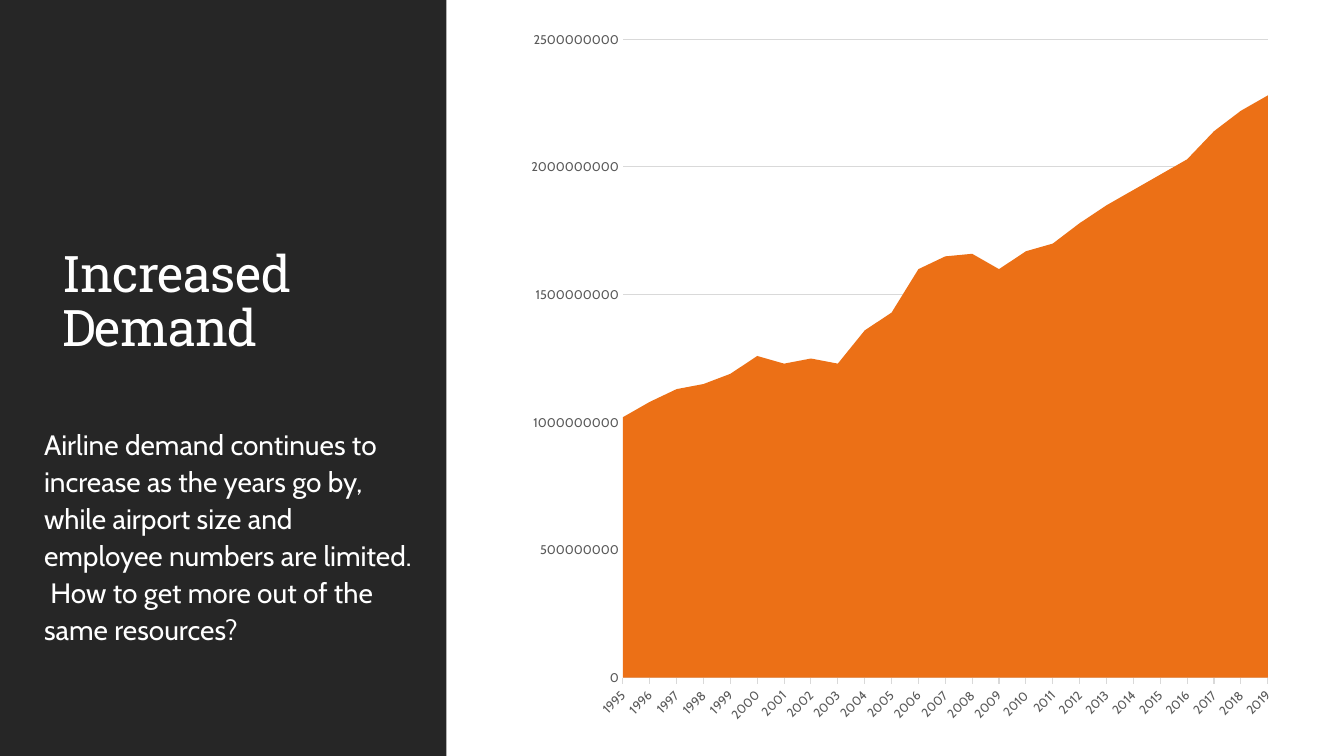
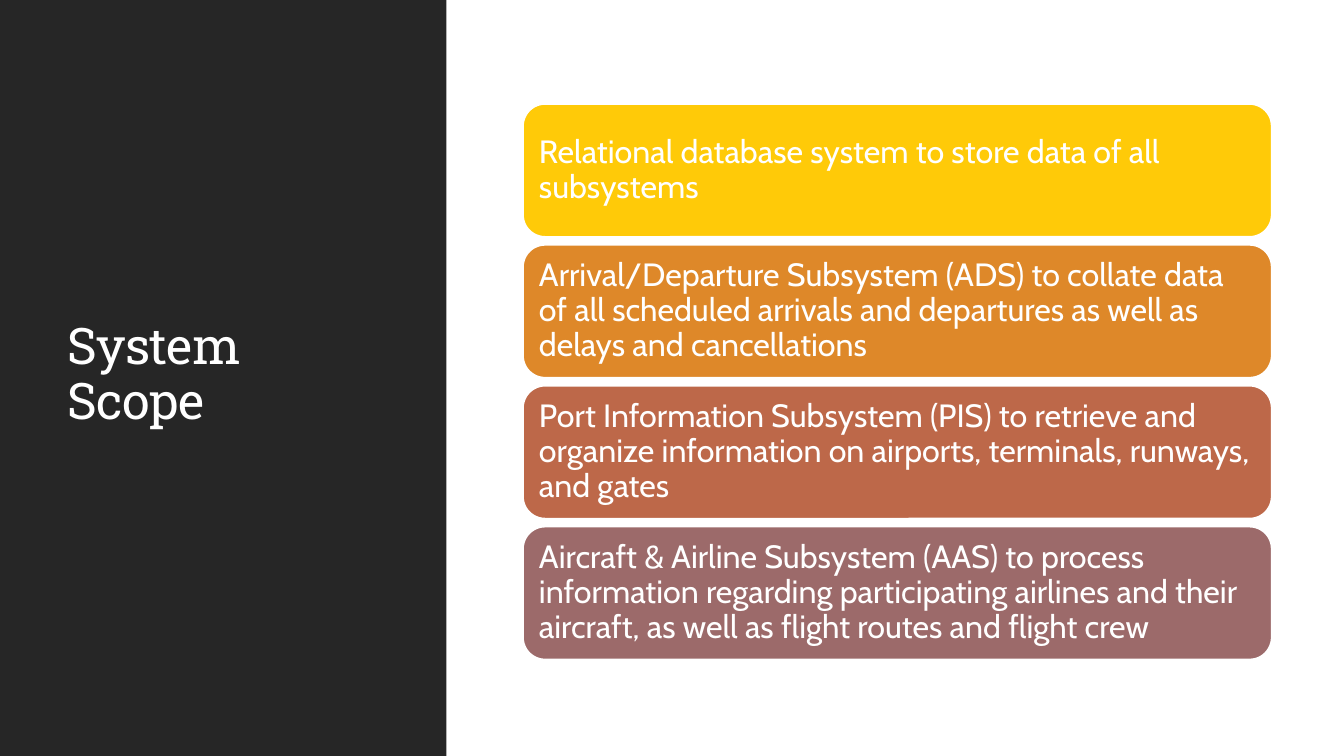
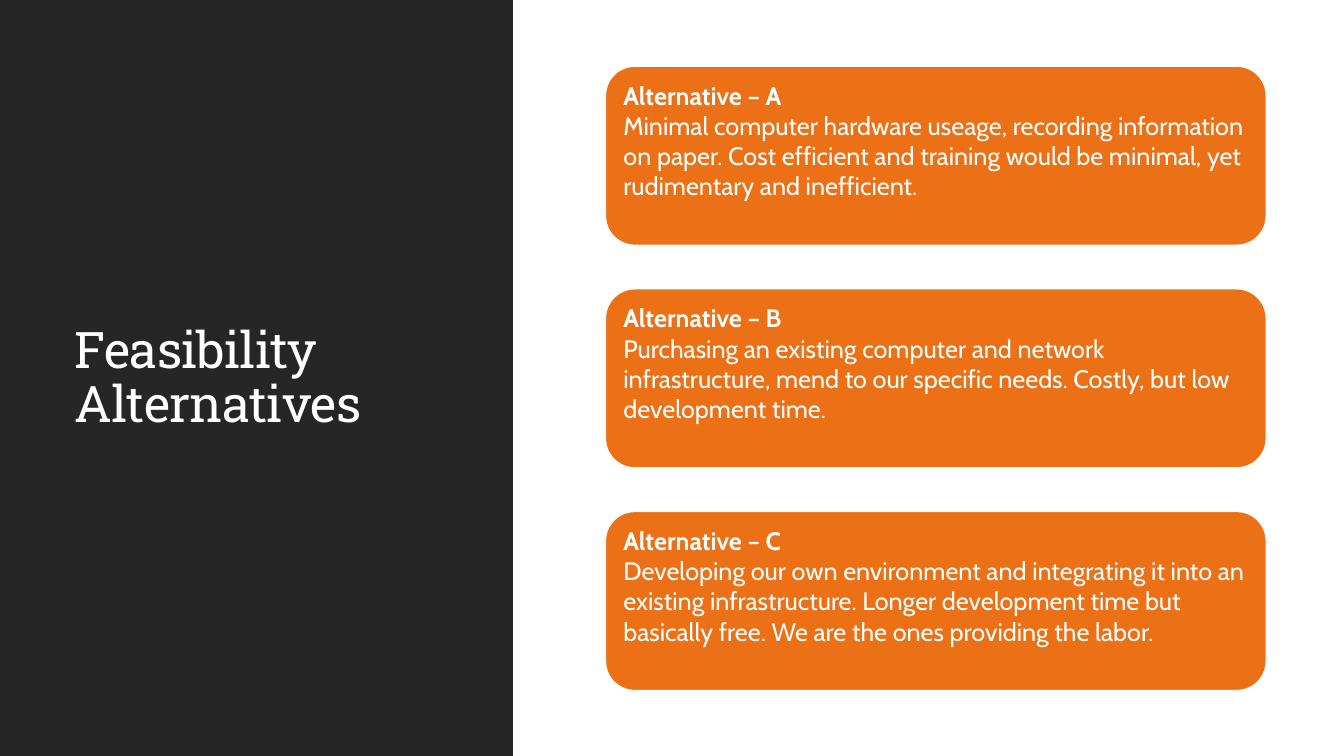
import pptx
import pptx.chart.data
import pptx.dml.color
import pptx.enum.chart
import pptx.enum.shapes
import pptx.enum.text
import pptx.util

Cm = pptx.util.Cm
Pt = pptx.util.Pt
ANCHOR = pptx.enum.text.MSO_ANCHOR
SHAPE = pptx.enum.shapes.MSO_SHAPE
TICK = pptx.enum.chart.XL_TICK_MARK

PASSENGERS_IN_TENS_OF_MILLIONS = [
    102, 108, 113, 115, 119, 126, 123, 125, 123, 136, 143, 160, 165,
    166, 160, 167, 170, 178, 185, 191, 197, 203, 214, 222, 228,
]

SUBSYSTEMS = [
    ("FFCA08", "Relational database system to store data of all subsystems"),
    ("DE8829", "Arrival/Departure Subsystem (ADS) to collate data of all scheduled "
               "arrivals and departures as well as delays and cancellations"),
    ("BD6849", "Port Information Subsystem (PIS) to retrieve and organize information "
               "on airports, terminals, runways, and gates"),
    ("9C6A6A", "Aircraft & Airline Subsystem (AAS) to process information regarding "
               "participating airlines and their aircraft, as well as flight routes "
               "and flight crew"),
]

ALTERNATIVES = [
    ("Alternative – A",
     "Minimal computer hardware useage, recording information on paper. Cost efficient "
     "and training would be minimal, yet rudimentary and inefficient."),
    ("Alternative – B",
     "Purchasing an existing computer and network infrastructure, mend to our specific "
     "needs. Costly, but low development time."),
    ("Alternative – C",
     "Developing our own environment and integrating it into an existing infrastructure. "
     "Longer development time but basically free. We are the ones providing the labor."),
]


def color(value):
    return pptx.dml.color.RGBColor.from_string(value)


class Deck:
    dark = "262626"
    white = "FFFFFF"
    orange = "EC7016"
    grid = "D9D9D9"
    label = "595959"
    title_font = "Roboto Slab"
    body_font = "Cabin"

    def __init__(self):
        self.deck = pptx.Presentation()
        self.deck.slide_width = Cm(33.87)
        self.deck.slide_height = Cm(19.05)
        self.slide = None

    def new_slide(self, band_width):
        self.slide = self.deck.slides.add_slide(self.deck.slide_layouts[6])
        self.shape(SHAPE.RECTANGLE, (0, 0, band_width, 19.05), self.dark)

    def shape(self, kind, place, fill, line_width=0):
        box = self.slide.shapes.add_shape(kind, *map(Cm, place))
        box.shadow.inherit = False
        box.fill.solid()
        box.fill.fore_color.rgb = color(fill)
        if line_width:
            box.line.color.rgb = color(self.white)
            box.line.width = Pt(line_width)
        else:
            box.line.fill.background()
        return box

    def set_text(self, box, texts, size, font=body_font, spacing=1.0, anchor=ANCHOR.MIDDLE):
        frame = box.text_frame
        frame.word_wrap = True
        frame.vertical_anchor = anchor
        frame.text = "\n".join(texts)
        for para in frame.paragraphs:
            para.alignment = pptx.enum.text.PP_ALIGN.LEFT
            para.line_spacing = spacing
            for span in para.runs:
                span.font.size = Pt(size)
                span.font.name = font
                span.font.color.rgb = color(self.white)
        return frame

    def title(self, text, place, anchor=ANCHOR.MIDDLE):
        box = self.slide.shapes.add_textbox(*map(Cm, place))
        frame = self.set_text(box, [text], 36, self.title_font, 0.9, anchor)
        for span in frame.paragraphs[0].runs:
            span._r.get_or_add_rPr().set("spc", "-50")

    def body(self, text, place):
        box = self.slide.shapes.add_textbox(*map(Cm, place))
        para = self.set_text(box, [text], 20, spacing=1.1, anchor=ANCHOR.TOP).paragraphs[0]
        para.space_before = Pt(12)
        para.space_after = Pt(2)
        para._p.get_or_add_pPr().set("marL", str(Cm(0.25)))

    def bar(self, text, place, fill):
        box = self.shape(SHAPE.ROUNDED_RECTANGLE, place, fill, 1.25)
        frame = self.set_text(box, [text], 23, spacing=0.9)
        frame.margin_left = frame.margin_right = Cm(0.24)
        frame.margin_top = frame.margin_bottom = Cm(0.24)

    def card(self, heading, text, place):
        box = self.shape(SHAPE.ROUNDED_RECTANGLE, place, self.orange, 2)
        frame = self.set_text(box, [heading, text], 18)
        frame.margin_bottom = Cm(0.89)
        frame.paragraphs[0].runs[0].font.bold = True

    def area_chart(self, categories, values, place):
        data = pptx.chart.data.CategoryChartData()
        data.categories = categories
        data.add_series("Series 1", values)
        chart = self.slide.shapes.add_chart(
            pptx.enum.chart.XL_CHART_TYPE.AREA, *map(Cm, place), data).chart
        chart.has_title = False
        chart.has_legend = False
        chart.font.name = self.body_font
        chart.font.size = Pt(10)
        fill = chart.plots[0].series[0].format.fill
        fill.solid()
        fill.fore_color.rgb = color(self.orange)
        chart.plots[0].vary_by_categories = False

        years, amounts = chart.category_axis, chart.value_axis
        for axis in (years, amounts):
            axis.tick_labels.font.size = Pt(9)
            axis.tick_labels.font.name = self.body_font
            axis.tick_labels.font.color.rgb = color(self.label)
            axis.minor_tick_mark = TICK.NONE
        years.has_major_gridlines = False
        years.major_tick_mark = TICK.OUTSIDE
        years._element.txPr.bodyPr.set("rot", "-2700000")
        amounts.major_tick_mark = TICK.NONE
        amounts.minimum_scale = 0
        amounts.maximum_scale = 2500000000
        amounts.major_unit = 500000000
        amounts.has_major_gridlines = True
        amounts.format.line.fill.background()
        for line in (years.format.line, amounts.major_gridlines.format.line):
            line.color.rgb = color(self.grid)
            line.width = Pt(0.75)


def main():
    show = Deck()

    show.new_slide(11.25)
    show.title("Increased Demand", (1.32, 5.46, 8.56, 4.37))
    show.area_chart([str(year) for year in range(1995, 2020)],
                    [value * 10000000 for value in PASSENGERS_IN_TENS_OF_MILLIONS],
                    (13, 0.43, 19.48, 18.14))
    show.body("Airline demand continues to increase as the years go by, while airport size "
              "and employee numbers are limited.  How to get more out of the same resources?",
              (0.61, 10.57, 10.06, 6.73))

    show.new_slide(11.25)
    show.title("System Scope", (1.45, 1.45, 8.56, 16.03))
    for row, (fill, text) in enumerate(SUBSYSTEMS):
        show.bar(text, (13.18, 2.62 + row * 3.55, 18.87, 3.35), fill)

    show.new_slide(12.93)
    show.title("Feasibility Alternatives", (1.63, 7.98, 9.78, 3.07), ANCHOR.BOTTOM)
    for row, (heading, text) in enumerate(ALTERNATIVES):
        show.card(heading, text, (15.24, 1.65 + row * 5.61, 16.69, 4.55))

    show.deck.save("out.pptx")


if __name__ == "__main__":
    main()
